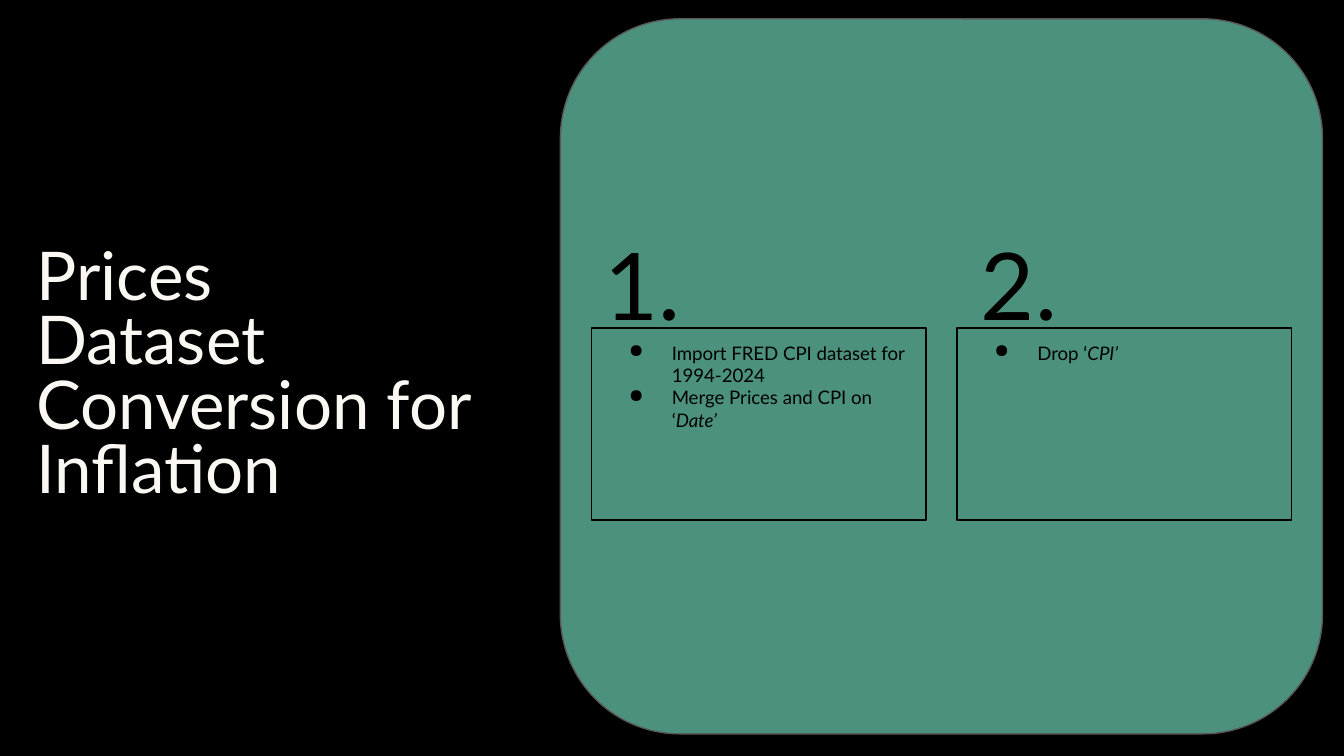
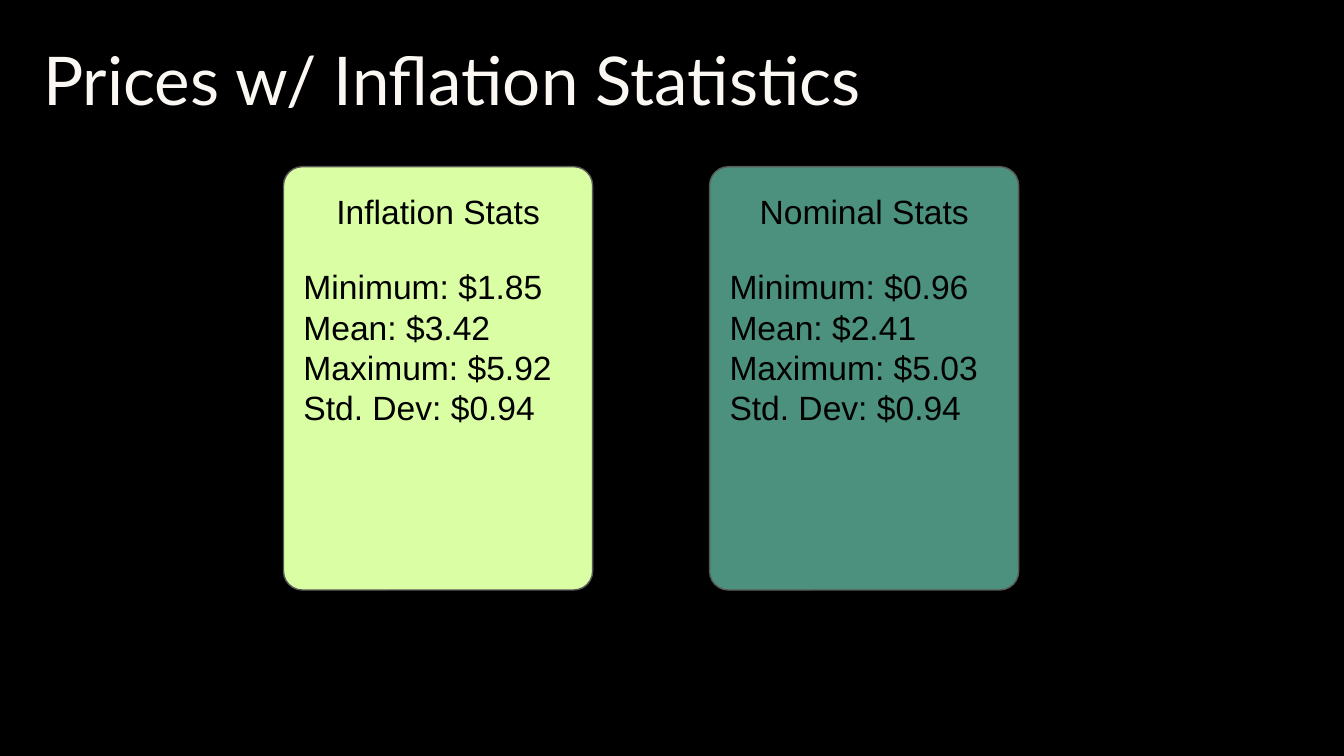
from lxml import etree
from pptx import Presentation
from pptx.dml.color import RGBColor
from pptx.enum.shapes import MSO_SHAPE
from pptx.enum.text import MSO_ANCHOR, MSO_AUTO_SIZE, PP_ALIGN
from pptx.oxml.ns import qn
from pptx.util import Inches, Pt

BLACK = RGBColor(0x00, 0x00, 0x00)
CREAM = RGBColor(0xFB, 0xF8, 0xF4)
GREEN = RGBColor(0x4B, 0x91, 0x7D)
LIME = RGBColor(0xDA, 0xFE, 0xA4)
GREY = RGBColor(0x59, 0x59, 0x59)

RECT = MSO_SHAPE.RECTANGLE
ROUNDED = MSO_SHAPE.ROUNDED_RECTANGLE
TOP, MIDDLE, BOTTOM = MSO_ANCHOR.TOP, MSO_ANCHOR.MIDDLE, MSO_ANCHOR.BOTTOM
LEFT, CENTER = PP_ALIGN.LEFT, PP_ALIGN.CENTER
NO_FIT = MSO_AUTO_SIZE.NONE
TITLE_ONLY = 5

STEPS = [
    (4.4, 4.4, "1.", [("Import FRED CPI dataset for 1994-2024", ""),
                      ("Merge Prices and CPI on ‘", "Date’")]),
    (7.12, 7.2, "2.", [("Drop ‘", "CPI’")]),
]
CARDS = [
    (2.11, LIME, "Inflation Stats",
     ["Minimum: $1.85", "Mean: $3.42", "Maximum: $5.92", "Std. Dev: $0.94"]),
    (5.28, GREEN, "Nominal Stats",
     ["Minimum: $0.96", "Mean: $2.41", "Maximum: $5.03", "Std. Dev: $0.94"]),
]


def set_frame(frame, anchor):
    """Give a text frame its shared margins, wrapping and anchor."""
    frame.word_wrap = True
    frame.auto_size = NO_FIT
    frame.vertical_anchor = anchor
    frame.margin_left = frame.margin_right = Inches(0.1)
    frame.margin_top = frame.margin_bottom = Inches(0.1)


def style_span(span, font, size, color):
    """Set the font, size and colour of one run."""
    span.font.name = font
    span.font.size = Pt(size)
    span.font.color.rgb = color


def write_lines(box, lines, font, size, color=BLACK, anchor=TOP, align=LEFT, spacing=1.0):
    """Fill a box with one styled paragraph for each line."""
    frame = box.text_frame
    frame.text = "\n".join(lines)
    set_frame(frame, anchor)
    for para in frame.paragraphs:
        para.alignment = align
        para.line_spacing = spacing
        for span in para.runs:
            style_span(span, font, size, color)


def add_text(shapes, area, lines, font, size, **options):
    """Add a text box at the given area in inches."""
    box = shapes.add_textbox(*map(Inches, area))
    write_lines(box, lines, font, size, **options)


def add_panel(shapes, kind, area, line, fill=None, corner=None):
    """Add an outlined panel, filled when a colour is given."""
    panel = shapes.add_shape(kind, *map(Inches, area))
    panel.shadow.inherit = False
    if corner is not None:
        panel.adjustments[0] = corner
    if fill is None:
        panel.fill.background()
    else:
        panel.fill.solid()
        panel.fill.fore_color.rgb = fill
    panel.line.color.rgb = line
    panel.line.width = Pt(0.75)
    return panel


def add_bullet(para):
    """Give a paragraph a hanging round bullet."""
    properties = para._p.get_or_add_pPr()
    properties.set("marL", str(Inches(0.5)))
    properties.set("indent", str(Inches(-0.32)))
    color = etree.SubElement(properties, qn("a:buClr"))
    etree.SubElement(color, qn("a:srgbClr"), val=str(BLACK))
    etree.SubElement(properties, qn("a:buChar"), char="●")


def add_page(deck, area, title_lines, anchor):
    """Add a slide with the shared title style."""
    page = deck.slides.add_slide(deck.slide_layouts[TITLE_ONLY])
    title = page.shapes.title
    title.left, title.top, title.width, title.height = map(Inches, area)
    write_lines(title, title_lines, "Lato", 36, color=CREAM, anchor=anchor, spacing=0.8)
    return page


def add_step(page, left, number_left, number, items):
    """Add a large step number over a box of bullets."""
    add_text(page.shapes, (number_left, 1.75, 2.15, 0.9), [number], "Lato", 50, spacing=0.8)
    frame = add_panel(page.shapes, RECT, (left, 2.44, 2.49, 1.43), BLACK).text_frame
    set_frame(frame, TOP)
    for index, (plain, column) in enumerate(items):
        para = frame.add_paragraph() if index else frame.paragraphs[0]
        para.alignment = LEFT
        add_bullet(para)
        for text, italic in ((plain, False), (column, True)):
            if text:
                span = para.add_run()
                span.text = text
                style_span(span, "Lato", 10, BLACK)
                span.font.italic = italic


def add_card(page, left, fill, heading, stats):
    """Add a grouped card with a heading and its statistics."""
    shapes = page.shapes.add_group_shape().shapes
    add_panel(shapes, ROUNDED, (left, 1.24, 2.3, 3.15), GREY, fill, 0.061)
    add_text(shapes, (left + 0.16, 1.38, 1.98, 0.38), [heading], "Arial", 18,
             anchor=MIDDLE, align=CENTER)
    add_text(shapes, (left + 0.05, 1.88, 2.2, 2.31), stats, "Arial", 18)


def main():
    """Build and save the two slides."""
    deck = Presentation()
    deck.slide_width, deck.slide_height = Inches(10), Inches(5.625)
    background = deck.slide_master.background.fill
    background.solid()
    background.fore_color.rgb = BLACK

    page = add_page(deck, (0.17, 1.76, 3.87, 2.11),
                    ["Prices", "Dataset", "Conversion for Inflation"], BOTTOM)
    add_panel(page.shapes, ROUNDED, (4.17, 0.14, 5.67, 5.32), GREY, GREEN, 0.167)
    for step in STEPS:
        add_step(page, *step)

    page = add_page(deck, (0.22, 0.1, 8.23, 1.08), ["Prices w/ Inflation Statistics"], MIDDLE)
    for card in CARDS:
        add_card(page, *card)
    deck.save("out.pptx")


if __name__ == "__main__":
    main()
